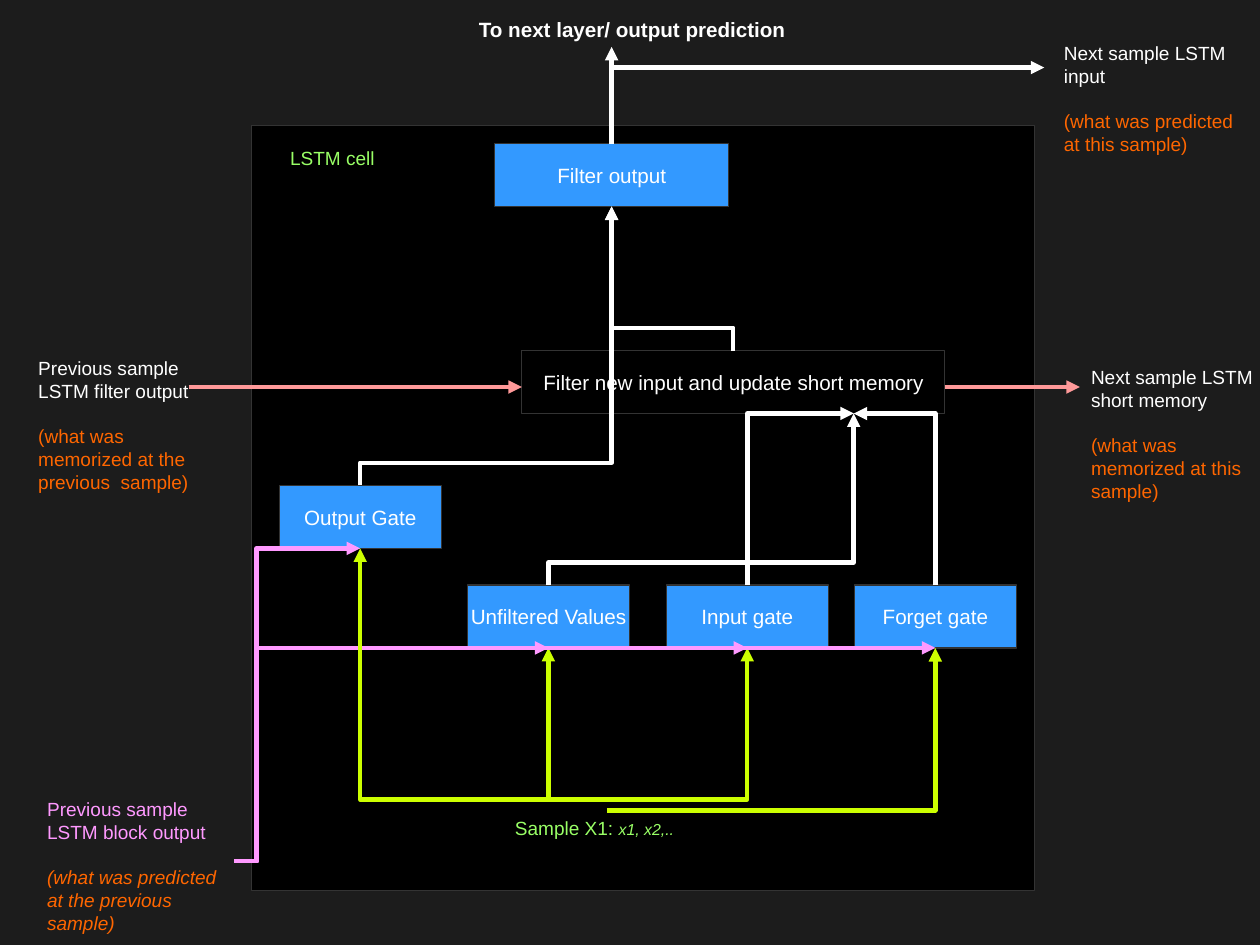
from lxml.etree import SubElement
from pptx import Presentation
from pptx.dml.color import RGBColor
from pptx.enum.shapes import MSO_CONNECTOR, MSO_SHAPE
from pptx.enum.text import MSO_ANCHOR, PP_ALIGN
from pptx.oxml.ns import qn
from pptx.util import Pt

CHARCOAL = RGBColor(0x1C, 0x1C, 0x1C)
BLACK = RGBColor(0x00, 0x00, 0x00)
OUTLINE = RGBColor(0x33, 0x33, 0x33)
BLUE = RGBColor(0x33, 0x99, 0xFF)
WHITE = RGBColor(0xFF, 0xFF, 0xFF)
ORANGE = RGBColor(0xFF, 0x66, 0x00)
GREEN = RGBColor(0x99, 0xFF, 0x66)
LIME = RGBColor(0xCC, 0xFF, 0x00)
PINK = RGBColor(0xFF, 0x99, 0xFF)
SALMON = RGBColor(0xFF, 0x99, 0x99)

GATE_WIDTH = 102
BOX_HEIGHT = 39.7
STUB = 14.2


class Diagram:
    def __init__(self, page):
        self.page = page
        self.typeface = "Arial"
        self.text_size = 12
        self.box_text_size = 13
        self.line_width = 2.83
        page.background.fill.solid()
        page.background.fill.fore_color.rgb = CHARCOAL

    def style(self, font, color, size=None, italic=False, bold=False):
        font.name = self.typeface
        font.size = Pt(size or self.text_size)
        font.color.rgb = color
        font.italic = italic
        font.bold = bold

    def title(self, text, left, top, width, height):
        title = self.page.shapes.title
        title.left, title.top = Pt(left), Pt(top)
        title.width, title.height = Pt(width), Pt(height)
        frame = title.text_frame
        frame.text = text
        frame.vertical_anchor = MSO_ANCHOR.TOP
        para = frame.paragraphs[0]
        para.alignment = PP_ALIGN.LEFT
        self.style(para.font, WHITE, self.box_text_size, bold=True)

    def box(self, left, top, width, height, fill, text="", preset=MSO_SHAPE.FLOWCHART_PROCESS):
        box = self.page.shapes.add_shape(preset, Pt(left), Pt(top), Pt(width), Pt(height))
        box.shadow.inherit = False
        box.fill.solid()
        box.fill.fore_color.rgb = fill
        box.line.color.rgb = OUTLINE
        box.line.width = Pt(0)
        if text:
            frame = box.text_frame
            frame.word_wrap = False
            frame.vertical_anchor = MSO_ANCHOR.MIDDLE
            para = frame.paragraphs[0]
            para.text = text
            para.alignment = PP_ALIGN.CENTER
            self.style(para.font, WHITE, self.box_text_size)
        return box

    def text_frame(self, left, top, width, height):
        box = self.page.shapes.add_textbox(Pt(left), Pt(top), Pt(width), Pt(height))
        box.text_frame.word_wrap = True
        return box.text_frame

    def label(self, left, top, width, height, text, detail=""):
        para = self.text_frame(left, top, width, height).paragraphs[0]
        span = para.add_run()
        span.text = text
        self.style(span.font, GREEN)
        if detail:
            span = para.add_run()
            span.text = detail
            self.style(span.font, GREEN, 10, italic=True)

    def note(self, left, top, heading, remark, color=WHITE, italic=False, width=117.5, height=88):
        frame = self.text_frame(left, top, width, height)
        frame.margin_right = 0
        para = frame.paragraphs[0]
        para.text = heading
        self.style(para.font, color)
        para = frame.add_paragraph()
        para.text = remark
        para.space_before = Pt(14.2)
        self.style(para.font, ORANGE, italic=italic)

    def arrow(self, start, end, color, kind=MSO_CONNECTOR.STRAIGHT):
        points = [Pt(value) for value in (*start, *end)]
        connector = self.page.shapes.add_connector(kind, *points)
        connector.line.color.rgb = color
        connector.line.width = Pt(self.line_width)
        properties = connector._element.spPr
        SubElement(properties.find(qn("a:ln")), qn("a:tailEnd"), type="triangle")
        SubElement(properties, qn("a:effectLst"))
        return connector

    def elbow(self, start, end, color, upright=False, stub=0):
        across, down = end[0] - start[0], end[1] - start[1]
        length = abs(down if upright else across)
        if upright:
            middle = (start[0] + end[0]) / 2, (start[1] + end[1]) / 2
            start = middle[0] - down / 2, middle[1] + across / 2
            end = middle[0] + down / 2, middle[1] - across / 2
        connector = self.arrow(start, end, color, MSO_CONNECTOR.ELBOW)
        properties = connector._element.spPr
        if upright:
            properties.find(qn("a:xfrm")).set("rot", "5400000")
        geometry = properties.find(qn("a:prstGeom"))
        if stub:
            guides = geometry.find(qn("a:avLst"))
            if guides is None:
                guides = SubElement(geometry, qn("a:avLst"))
            share = round(100000 * stub / length)
            SubElement(guides, qn("a:gd"), name="adj1", fmla=f"val {share}")
        else:
            geometry.set("prst", "bentConnector2")


def main():
    deck = Presentation()
    deck.slide_width, deck.slide_height = Pt(793.7), Pt(595.28)
    diagram = Diagram(deck.slides.add_slide(deck.slide_layouts[5]))
    diagram.title("To next layer/ output prediction", 294.5, 7.2, 216, 38)
    diagram.box(158.4, 79.2, 493.2, 481.7, BLACK, preset=MSO_SHAPE.RECTANGLE)

    gate_top, output_gate_top = 368.5, 305.8
    gates = [
        ("Unfiltered Values", 345.5, gate_top),
        ("Input gate", 470.7, gate_top),
        ("Forget gate", 589.2, gate_top),
        ("Output Gate", 226.9, output_gate_top),
    ]
    for name, center, top in gates:
        diagram.box(center - GATE_WIDTH / 2, top, GATE_WIDTH, BOX_HEIGHT, BLUE, name)
    memory_top, output_top = 220.8, 90.4
    diagram.box(328.7, memory_top, 266.4, BOX_HEIGHT, BLACK,
                "Filter new input and update short memory")
    output = diagram.box(311.6, output_top, 147.4, BOX_HEIGHT, BLUE, "Filter output")

    for name, center, top in gates:
        bottom = (center, top + BOX_HEIGHT)
        sample = (382.3, 510.5) if name == "Forget gate" else (371.5, 503.6)
        diagram.elbow(sample, bottom, LIME)
        diagram.elbow((147.4, 542.5), bottom, PINK, stub=STUB)

    memory_entry = (537.8, memory_top + BOX_HEIGHT)
    output_center = 385.3
    output_entry = (output_center, output_top + BOX_HEIGHT)
    for start, end, stub in [
        ((345.5, gate_top), memory_entry, STUB),
        ((470.7, gate_top), memory_entry, 0),
        ((589.2, gate_top), memory_entry, 0),
        ((226.9, output_gate_top), output_entry, STUB),
        ((461.9, memory_top), output_entry, STUB),
        ((output_center, output_top), (657.8, 42.6), 0),
    ]:
        diagram.elbow(start, end, WHITE, upright=True, stub=stub)

    diagram.arrow((118.8, 243.8), (328.7, 243.8), SALMON)
    diagram.arrow((595.1, 243.8), (680.2, 243.8), SALMON)
    upward = diagram.arrow((output_center, output_top), (output_center, 29.5), WHITE)
    upward.begin_connect(output, 0)

    diagram.label(317.3, 510.5, 130, 44, "Sample X1: ", "x1, x2,..")
    diagram.label(175.7, 88.6, 130, 44, "LSTM cell")
    diagram.note(17, 221, "Previous sample LSTM filter output",
                 "(what was memorized at the previous  sample)")
    diagram.note(22.6, 498.8, "Previous sample LSTM block output",
                 "(what was predicted at the previous  sample)", PINK, italic=True)
    diagram.note(680.2, 226.8, "Next sample LSTM  short memory",
                 "(what was memorized at this sample)", width=113)
    diagram.note(663.1, 22.5, "Next sample LSTM input",
                 "(what was predicted at this sample)", height=74)
    deck.save("out.pptx")


if __name__ == "__main__":
    main()
